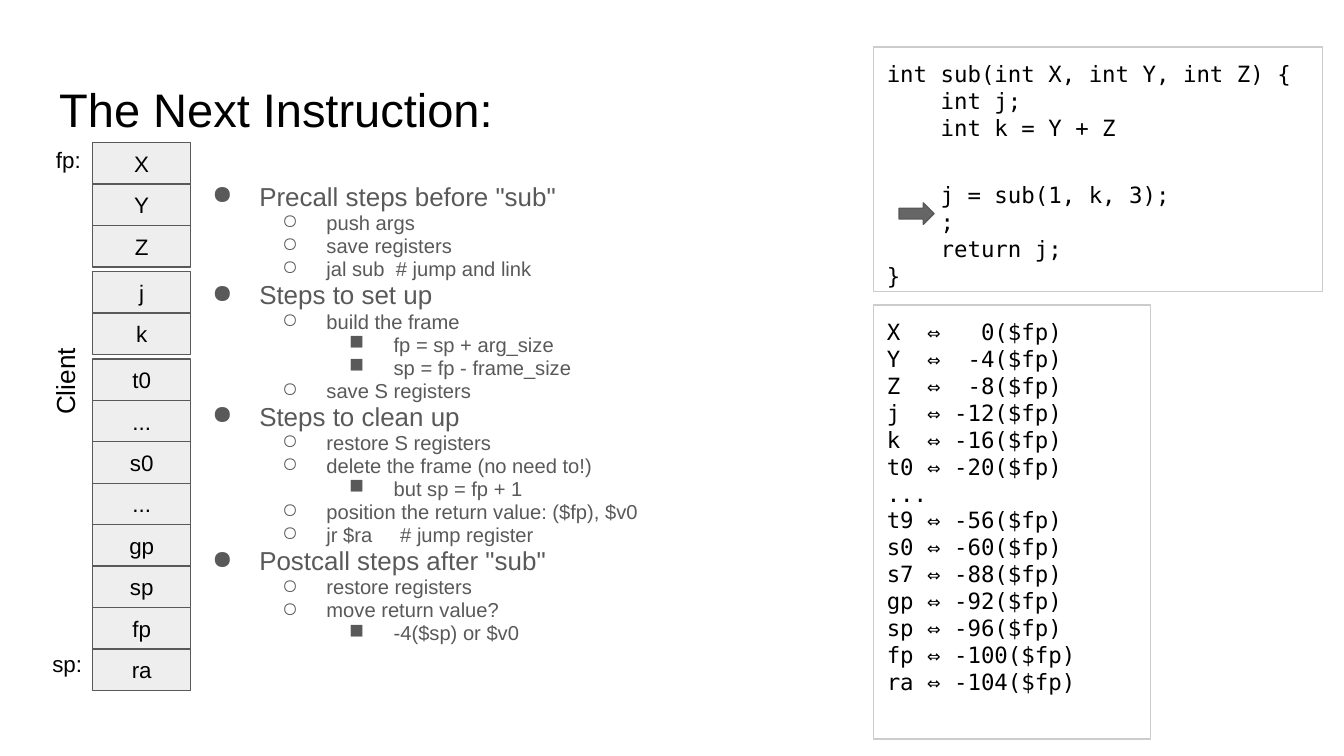
from dataclasses import dataclass

from lxml import etree
from pptx import Presentation
from pptx import util as u
from pptx.dml.color import RGBColor
from pptx.enum import shapes, text
from pptx.oxml import ns


@dataclass(frozen=True)
class Theme:
    sans: str = "Arial"
    mono: str = "DejaVu Sans Mono"
    ink: str = "000000"
    grey: str = "595959"
    cell: str = "EEEEEE"
    frame: str = "CCCCCC"
    arrow: str = "666666"
    title: float = 25.2
    step: float = 13.9
    detail: float = 10.8
    label: float = 12
    side: float = 14
    line: float = 0.75
    inset: float = 7.2


@dataclass(frozen=True)
class Box:
    left: float
    top: float
    width: float
    height: float

    def points(self) -> list:
        return [u.Pt(v) for v in (self.left, self.top, self.width, self.height)]


@dataclass(frozen=True)
class Level:
    bullet: str
    margin: float
    hanging: float
    size: float


@dataclass(frozen=True)
class Stack:
    top: float
    names: tuple


@dataclass(frozen=True)
class Label:
    words: str
    box: Box
    size: float
    align: text.PP_ALIGN
    turn: float = 0


THEME = Theme()
LEFT, CENTER, RIGHT = text.PP_ALIGN.LEFT, text.PP_ALIGN.CENTER, text.PP_ALIGN.RIGHT
TOP, MIDDLE, BOTTOM = text.MSO_ANCHOR.TOP, text.MSO_ANCHOR.MIDDLE, text.MSO_ANCHOR.BOTTOM

LEVELS = (
    Level("●", 36, 25.2, THEME.step),
    Level("○", 72, 23.8, THEME.detail),
    Level("■", 108, 23.8, THEME.detail),
)
STEPS = (
    (0, 'Precall steps before "sub"'),
    (1, "push args"),
    (1, "save registers"),
    (1, "jal sub  # jump and link"),
    (0, "Steps to set up"),
    (1, "build the frame"),
    (2, "fp = sp + arg_size"),
    (2, "sp = fp - frame_size"),
    (1, "save S registers"),
    (0, "Steps to clean up"),
    (1, "restore S registers"),
    (1, "delete the frame (no need to!)"),
    (2, "but sp = fp + 1"),
    (1, "position the return value: ($fp), $v0"),
    (1, "jr $ra     # jump register"),
    (0, 'Postcall steps after "sub"'),
    (1, "restore registers"),
    (1, "move return value?"),
    (2, "-4($sp) or $v0"),
)
CODE = (
    "int sub(int X, int Y, int Z) {",
    "    int j;",
    "    int k = Y + Z",
    "\n    j = sub(1, k, 3);",
    "    ;",
    "    return j;\n}",
)
OFFSETS = (
    ("X", 0), ("Y", -4), ("Z", -8), ("j", -12), ("k", -16), ("t0", -20), None,
    ("t9", -56), ("s0", -60), ("s7", -88), ("gp", -92), ("sp", -96),
    ("fp", -100), ("ra", -104),
)
STACKS = (
    Stack(76.4, ("X", "Y", "Z")),
    Stack(145.4, ("j", "k")),
    Stack(192.3, ("t0", "...", "s0", "...", "gp", "sp", "fp", "ra")),
)
CELL_LEFT, CELL_WIDTH, CELL_HEIGHT = 49.7, 52.5, 22.2
LABELS = (
    Label("fp:", Box(10.8, 71.3, 39.6, 28.8), THEME.label, RIGHT),
    Label("sp:", Box(11.5, 341.3, 39.6, 28.8), THEME.label, RIGHT),
    Label("Client", Box(8.6, 187.2, 52.6, 31.7), THEME.side, LEFT, 270),
)


def rgb(value: str) -> RGBColor:
    return RGBColor.from_string(value)


def set_frame(frame, anchor=TOP) -> None:
    frame.word_wrap = True
    frame.auto_size = text.MSO_AUTO_SIZE.NONE
    frame.vertical_anchor = anchor
    frame.margin_left = frame.margin_right = u.Pt(THEME.inset)
    frame.margin_top = frame.margin_bottom = u.Pt(THEME.inset)


def write(para, words: str, size: float, font=THEME.sans, color=THEME.ink, align=LEFT) -> None:
    para.alignment = align
    for index, line in enumerate(words.split("\n")):
        if index:
            para.add_line_break()
        if line:
            span = para.add_run()
            span.text = line
            span.font.size = u.Pt(size)
            span.font.name = font
            span.font.color.rgb = rgb(color)


def next_para(frame, index: int):
    return frame.add_paragraph() if index else frame.paragraphs[0]


def add_bullet(para, level: Level) -> None:
    props = para._p.get_or_add_pPr()
    props.set("marL", str(u.Pt(level.margin)))
    props.set("indent", str(-u.Pt(level.hanging)))
    color = etree.SubElement(props, ns.qn("a:buClr"))
    etree.SubElement(color, ns.qn("a:srgbClr"), val=THEME.grey)
    etree.SubElement(props, ns.qn("a:buChar"), char=level.bullet)


def add_shape(page, kind, box: Box, line: str, fill: str = ""):
    shape = page.shapes.add_shape(kind, *box.points())
    shape.shadow.inherit = False
    if fill:
        shape.fill.solid()
        shape.fill.fore_color.rgb = rgb(fill)
    else:
        shape.fill.background()
    shape.line.color.rgb = rgb(line)
    shape.line.width = u.Pt(THEME.line)
    return shape


def add_listing(page, box: Box, lines) -> None:
    frame = add_shape(page, shapes.MSO_SHAPE.RECTANGLE, box, THEME.frame).text_frame
    set_frame(frame)
    for index, line in enumerate(lines):
        write(next_para(frame, index), line, THEME.label, THEME.mono)


def add_stack(page, stack: Stack) -> None:
    for index, name in enumerate(stack.names):
        box = Box(CELL_LEFT, stack.top + index * CELL_HEIGHT, CELL_WIDTH, CELL_HEIGHT)
        cell = add_shape(page, shapes.MSO_SHAPE.RECTANGLE, box, THEME.grey, THEME.cell)
        set_frame(cell.text_frame, MIDDLE)
        write(cell.text_frame.paragraphs[0], name, THEME.label, align=CENTER)


def add_label(page, label: Label) -> None:
    box = page.shapes.add_textbox(*label.box.points())
    box.rotation = label.turn
    set_frame(box.text_frame)
    write(box.text_frame.paragraphs[0], label.words, label.size, align=label.align)


def add_steps(page, box: Box) -> None:
    frame = page.shapes.add_textbox(*box.points()).text_frame
    set_frame(frame)
    for index, (depth, words) in enumerate(STEPS):
        para, level = next_para(frame, index), LEVELS[depth]
        para.level = depth
        para.line_spacing = 0.95
        write(para, words, level.size, color=THEME.grey)
        add_bullet(para, level)


def offset_line(entry) -> str:
    if entry is None:
        return "..."
    name, offset = entry
    return f"{name:<2} ⇔ {offset:>3}($fp)"


deck = Presentation()
deck.slide_width, deck.slide_height = u.Pt(720), u.Pt(405)
page = deck.slides.add_slide(deck.slide_layouts[5])

# Title
title = page.shapes.title
title.left, title.top, title.width, title.height = Box(24.5, 35.3, 671, 45.4).points()
set_frame(title.text_frame, BOTTOM)
write(title.text_frame.paragraphs[0], "The Next Instruction:", THEME.title)

# Calling steps
add_steps(page, Box(95.8, 90.7, 584.6, 269.3))

# Source code
add_listing(page, Box(468, 25.2, 240.5, 131), CODE)

# Stack frame and its labels
for stack in STACKS:
    add_stack(page, stack)
for label in LABELS:
    add_label(page, label)

# Current instruction
add_shape(page, shapes.MSO_SHAPE.RIGHT_ARROW, Box(481.7, 108.7, 18.7, 11.5), THEME.grey, THEME.arrow)

# Frame offsets
add_listing(page, Box(468, 163.4, 148.3, 232.6), map(offset_line, OFFSETS))

deck.save("out.pptx")
